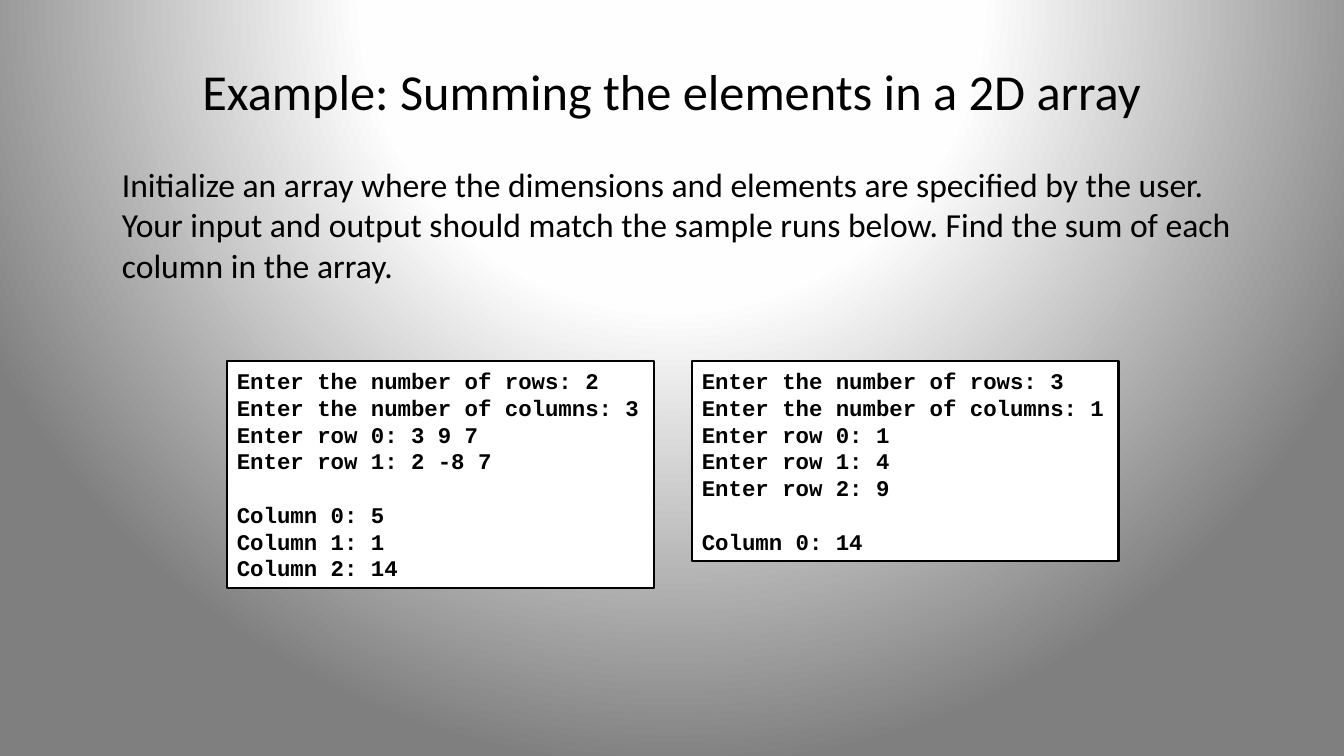
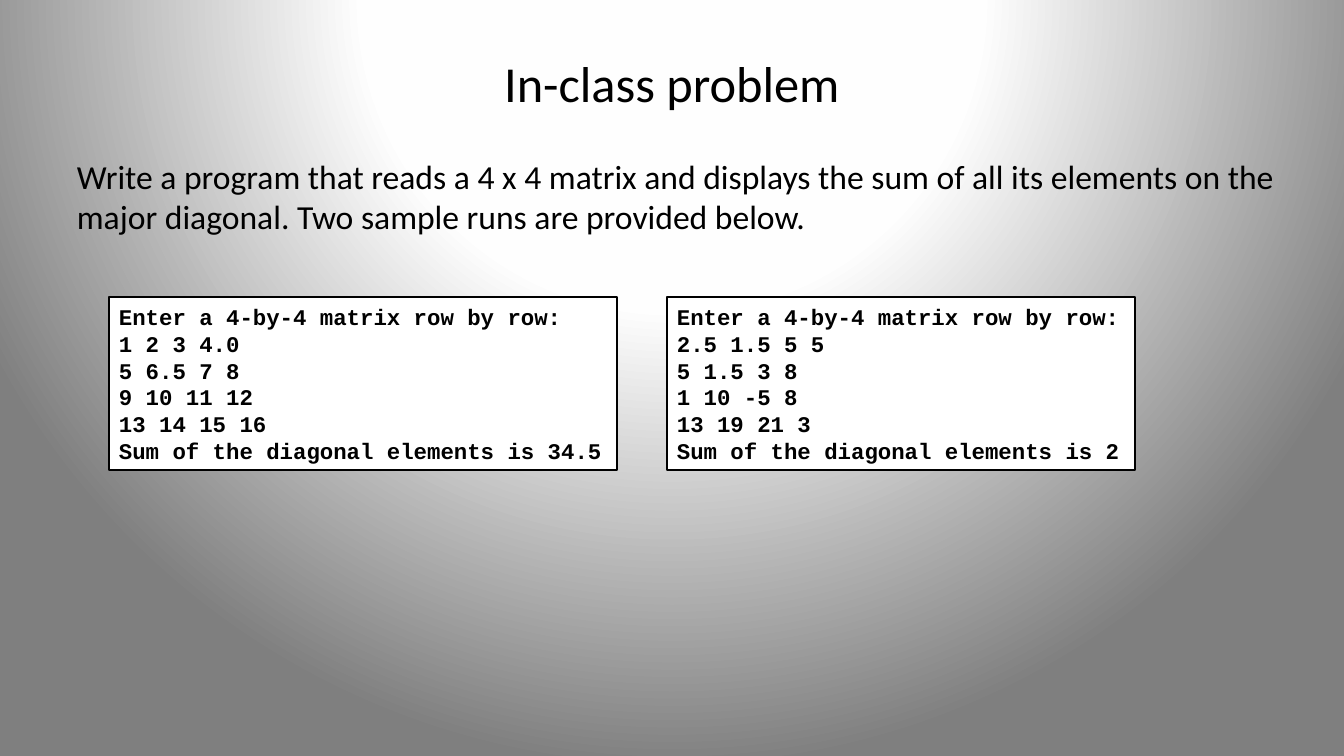
from dataclasses import dataclass

from pptx import Presentation
from pptx.dml.color import RGBColor
from pptx.enum.shapes import MSO_SHAPE
from pptx.enum.text import MSO_ANCHOR, PP_ALIGN
from pptx.oxml import parse_xml
from pptx.oxml.ns import nsdecls, qn
from pptx.util import Emu, Pt


@dataclass(frozen=True)
class Theme:
    ink: str = "000000"
    paper: str = "FFFFFF"
    glow: tuple = ((0, "FFFFFF"), (40, "FEFEFE"), (100, "7F7F7F"))
    sans: str = "Calibri"
    mono: str = "Courier New"
    title_size: int = 36
    body_size: int = 24
    console_size: int = 16
    console_pitch: float = 19.1
    border: int = 2


THEME = Theme()
PX_PER_INCH = 100.8
SLIDE_WIDTH, SLIDE_HEIGHT = 1344, 756
TITLE_LEFT, TITLE_HEIGHT = 67, 104
CHAR_WIDTH, CONSOLE_SIDES = 13.44, 24
LINE_HEIGHT, CONSOLE_ENDS = 27, 11

PROBLEMS = [
    {
        "title": ("Example: Summing the elements in a 2D array", 38),
        "task": (
            "Initialize an array where the dimensions and elements are specified by the user.\v"
            "Your input and output should match the sample runs below. Find the sum of each\v"
            "column in the array.",
            (112, 159, 1146, 132),
        ),
        "runs_top": 361,
        "runs": [
            (227, [
                ["Enter the number of rows: 2", "Enter the number of columns: 3",
                 "Enter row 0: 3 9 7", "Enter row 1: 2 -8 7"],
                ["Column 0: 5", "Column 1: 1", "Column 2: 14"],
            ]),
            (692, [
                ["Enter the number of rows: 3", "Enter the number of columns: 1",
                 "Enter row 0: 1", "Enter row 1: 4", "Enter row 2: 9"],
                ["Column 0: 14"],
            ]),
        ],
    },
    {
        "title": ("In-class problem", 30),
        "task": (
            "Write a program that reads a 4 x 4 matrix and displays the sum of all its elements on the\v"
            "major diagonal. Two sample runs are provided below.",
            (67, 151, 1234, 92),
        ),
        "runs_top": 297,
        "runs": [
            (109, [
                ["Enter a 4-by-4 matrix row by row:", "1 2 3 4.0", "5 6.5 7 8",
                 "9 10 11 12", "13 14 15 16", "Sum of the diagonal elements is 34.5"],
            ]),
            (667, [
                ["Enter a 4-by-4 matrix row by row:", "2.5 1.5 5 5", "5 1.5 3 8",
                 "1 10 -5 8", "13 19 21 3", "Sum of the diagonal elements is 2"],
            ]),
        ],
    },
]


def px(length):
    return Emu(round(length * 914400 / PX_PER_INCH))


def color(value):
    return RGBColor.from_string(value)


def write(frame, groups, *, font=THEME.sans, size=THEME.body_size, bold=False,
          align=PP_ALIGN.LEFT, anchor=MSO_ANCHOR.TOP, pitch=None):
    frame.word_wrap = True
    frame.vertical_anchor = anchor
    paragraph = None
    for group in groups:
        for position, line in enumerate(group):
            starts_later_group = paragraph is not None and position == 0
            paragraph = frame.paragraphs[0] if paragraph is None else frame.add_paragraph()
            paragraph.text = line
            paragraph.alignment = align
            if pitch:
                paragraph.line_spacing = Pt(pitch)
                if starts_later_group:
                    paragraph.space_before = Pt(pitch)
            paragraph.font.name = font
            paragraph.font.size = Pt(size)
            paragraph.font.bold = bold
            paragraph.font.color.rgb = color(THEME.ink)


def add_text(slide, text, box, **text_format):
    label = slide.shapes.add_textbox(*map(px, box))
    write(label.text_frame, [[text]], **text_format)


def add_title(slide, text, top):
    box = (TITLE_LEFT, top, SLIDE_WIDTH - 2 * TITLE_LEFT, TITLE_HEIGHT)
    add_text(slide, text, box, size=THEME.title_size,
             align=PP_ALIGN.CENTER, anchor=MSO_ANCHOR.MIDDLE)


def add_console(slide, left, top, groups):
    lines = [line for group in groups for line in group]
    row_count = len(lines) + len(groups) - 1
    width = CHAR_WIDTH * max(map(len, lines)) + CONSOLE_SIDES
    height = LINE_HEIGHT * row_count + CONSOLE_ENDS
    console = slide.shapes.add_shape(
        MSO_SHAPE.RECTANGLE, *map(px, (left, top, round(width), height)))
    console.shadow.inherit = False
    console.fill.solid()
    console.fill.fore_color.rgb = color(THEME.paper)
    console.line.color.rgb = color(THEME.ink)
    console.line.width = Pt(THEME.border)
    write(console.text_frame, groups, font=THEME.mono, size=THEME.console_size,
          bold=True, anchor=MSO_ANCHOR.MIDDLE, pitch=THEME.console_pitch)


def set_background(master):
    master.background.fill.solid()
    properties = master.element.find(".//" + qn("p:bgPr"))
    stops = "".join(
        f'<a:gs pos="{percent * 1000}"><a:srgbClr val="{value}"/></a:gs>'
        for percent, value in THEME.glow)
    glow = parse_xml(
        f'<a:gradFill {nsdecls("a")} rotWithShape="1"><a:gsLst>{stops}</a:gsLst>'
        '<a:path path="circle">'
        '<a:fillToRect l="50000" t="-80000" r="50000" b="180000"/>'
        '</a:path></a:gradFill>')
    properties.replace(properties.find(qn("a:solidFill")), glow)


def add_problem(deck, problem):
    slide = deck.slides.add_slide(deck.slide_layouts[6])
    add_title(slide, *problem["title"])
    add_text(slide, *problem["task"])
    for left, groups in problem["runs"]:
        add_console(slide, left, problem["runs_top"], groups)


def main():
    deck = Presentation()
    deck.slide_width, deck.slide_height = px(SLIDE_WIDTH), px(SLIDE_HEIGHT)
    set_background(deck.slide_master)
    for problem in PROBLEMS:
        add_problem(deck, problem)
    deck.save("out.pptx")


if __name__ == "__main__":
    main()
